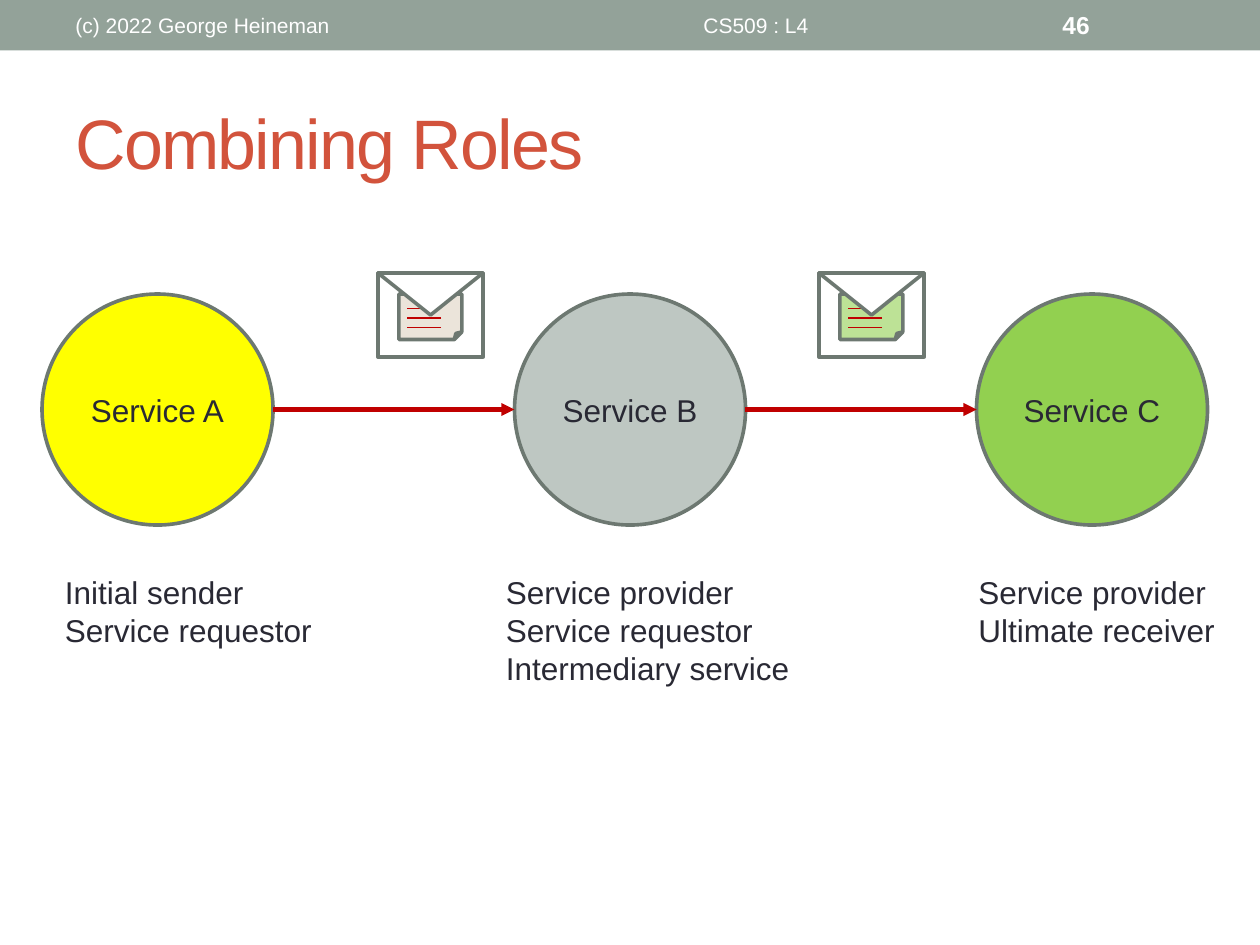
from lxml import etree
from pptx import Presentation
from pptx.dml.color import RGBColor
from pptx.enum.shapes import MSO_CONNECTOR, MSO_SHAPE
from pptx.enum.text import MSO_ANCHOR, PP_ALIGN
from pptx.oxml.ns import qn
from pptx.util import Inches, Pt

OVAL, RECTANGLE = MSO_SHAPE.OVAL, MSO_SHAPE.RECTANGLE
PAPER, FLAP = MSO_SHAPE.FOLDED_CORNER, MSO_SHAPE.ISOSCELES_TRIANGLE
STRAIGHT = MSO_CONNECTOR.STRAIGHT
LEFT, CENTER = PP_ALIGN.LEFT, PP_ALIGN.CENTER
TOP, MIDDLE = MSO_ANCHOR.TOP, MSO_ANCHOR.MIDDLE

COLORS = {
    "header": "93A299", "title": "D2533C", "white": "FFFFFF", "text": "292934",
    "outline": "6D7871", "arrow": "C00000", "yellow": "FFFF00",
    "gray": "BEC7C2", "green": "92D050", "beige": "DED2C2",
}
COLUMNS, ROWS = 120, 90  # grid cells of 1/12 inch
DIAMETER, CIRCLE_TOP = 22, 28
ENVELOPE_TOP = 26

# name, fill, circle column, role column, role width, roles
SERVICES = [
    ("Service A", "yellow", 4, 5, 26.2, ["Initial sender", "Service requestor"]),
    ("Service B", "gray", 49, 47, 30.2,
     ["Service provider", "Service requestor", "Intermediary service"]),
    ("Service C", "green", 93, 92, 25.2, ["Service provider", "Ultimate receiver"]),
]
ENVELOPES = [(36, "beige"), (78, "green")]  # column, paper colour


def grid(*cells):
    return [Inches(cell / 12) for cell in cells]


def color(name):
    return RGBColor.from_string(COLORS[name])


def set_values(target, values):
    for name, value in values.items():
        setattr(target, name, value)


def write(shape, lines, size=18, ink="text", align=LEFT, anchor=MIDDLE, wrap=True,
          bold=False):
    frame = shape.text_frame
    set_values(frame, {"text": "\n".join(lines), "word_wrap": wrap,
                       "vertical_anchor": anchor})
    for paragraph in frame.paragraphs:
        paragraph.alignment = align
        font = paragraph.runs[0].font
        set_values(font, {"name": "Arial", "size": Pt(size), "bold": bold})
        font.color.rgb = color(ink)
    return frame


def add_text(slide, box, lines, **style):
    return write(slide.shapes.add_textbox(*grid(*box)), lines, **style)


def add_figure(shapes, kind, box, fill, outlined=True):
    shape = shapes.add_shape(kind, *grid(*box))
    shape.shadow.inherit = False
    shape.fill.solid()
    shape.fill.fore_color.rgb = color(fill)
    if outlined:
        shape.line.color.rgb = color("outline")
        shape.line.width = Pt(2.08)
    else:
        shape.line.fill.background()
    return shape


def add_line(shapes, start, end, width, arrow=False):
    connector = shapes.add_connector(STRAIGHT, *grid(*start, *end))
    connector.line.color.rgb = color("arrow")
    connector.line.width = Pt(width)
    if arrow:
        etree.SubElement(connector.line._get_or_add_ln(), qn("a:tailEnd"),
                         type="triangle")
    etree.SubElement(connector._element.spPr, qn("a:effectLst"))


def add_envelope(slide, left, paper_color):
    shapes = slide.shapes.add_group_shape().shapes
    add_figure(shapes, RECTANGLE, (left, ENVELOPE_TOP, 10, 8), "white")
    paper = add_figure(shapes, PAPER, (left + 2, ENVELOPE_TOP + 2, 6, 4.33), paper_color)
    paper_fill = paper._element.spPr.find(".//" + qn("a:srgbClr"))
    etree.SubElement(paper_fill, qn("a:alpha"), val="60000")
    for index in range(3):
        row = ENVELOPE_TOP + 3.4 + 0.9 * index
        add_line(shapes, (left + 6, row), (left + 2.75, row), 0.75)
    flap = add_figure(shapes, FLAP, (left, ENVELOPE_TOP, 10, 4), "white")
    flap.rotation = 180


def add_service(slide, name, fill, left):
    circle = add_figure(slide.shapes, OVAL, (left, CIRCLE_TOP, DIAMETER, DIAMETER), fill)
    frame = write(circle, [name], align=CENTER)
    set_values(frame, {"margin_left": 0, "margin_right": 0})


def add_header(slide):
    add_figure(slide.shapes, RECTANGLE, (0, 0, COLUMNS, 4.8), "header", outlined=False)
    top, height = 0.25, 4.3
    add_text(slide, (6, top, 38, height), ["(c) 2022 George Heineman"], size=12, ink="white")
    add_text(slide, (45, top, 54, height), ["CS509 : L4"], size=12, ink="white",
             align=CENTER)
    add_text(slide, (100, top, 14, height), ["46"], size=14, ink="white", bold=True)


def add_title(slide):
    frame = add_text(slide, (6, 7, 108, 13), ["Combining Roles"], size=40, ink="title")
    frame.paragraphs[0].runs[0].font._element.set("spc", "-100")


def main():
    presentation = Presentation()
    width, height = grid(COLUMNS, ROWS)
    set_values(presentation, {"slide_width": width, "slide_height": height})
    slide = presentation.slides.add_slide(presentation.slide_layouts[6])

    add_header(slide)
    add_title(slide)
    for name, fill, left, role_left, role_width, roles in SERVICES:
        add_service(slide, name, fill, left)
        add_text(slide, (role_left, 54, role_width, 1.2 + 3.65 * len(roles)), roles,
                 anchor=TOP, wrap=False)
    middle = CIRCLE_TOP + DIAMETER / 2
    for sender, receiver in zip(SERVICES, SERVICES[1:]):
        add_line(slide.shapes, (sender[2] + DIAMETER, middle), (receiver[2], middle),
                 2.5, arrow=True)
    for left, paper_color in ENVELOPES:
        add_envelope(slide, left, paper_color)

    presentation.save("out.pptx")


if __name__ == "__main__":
    main()
